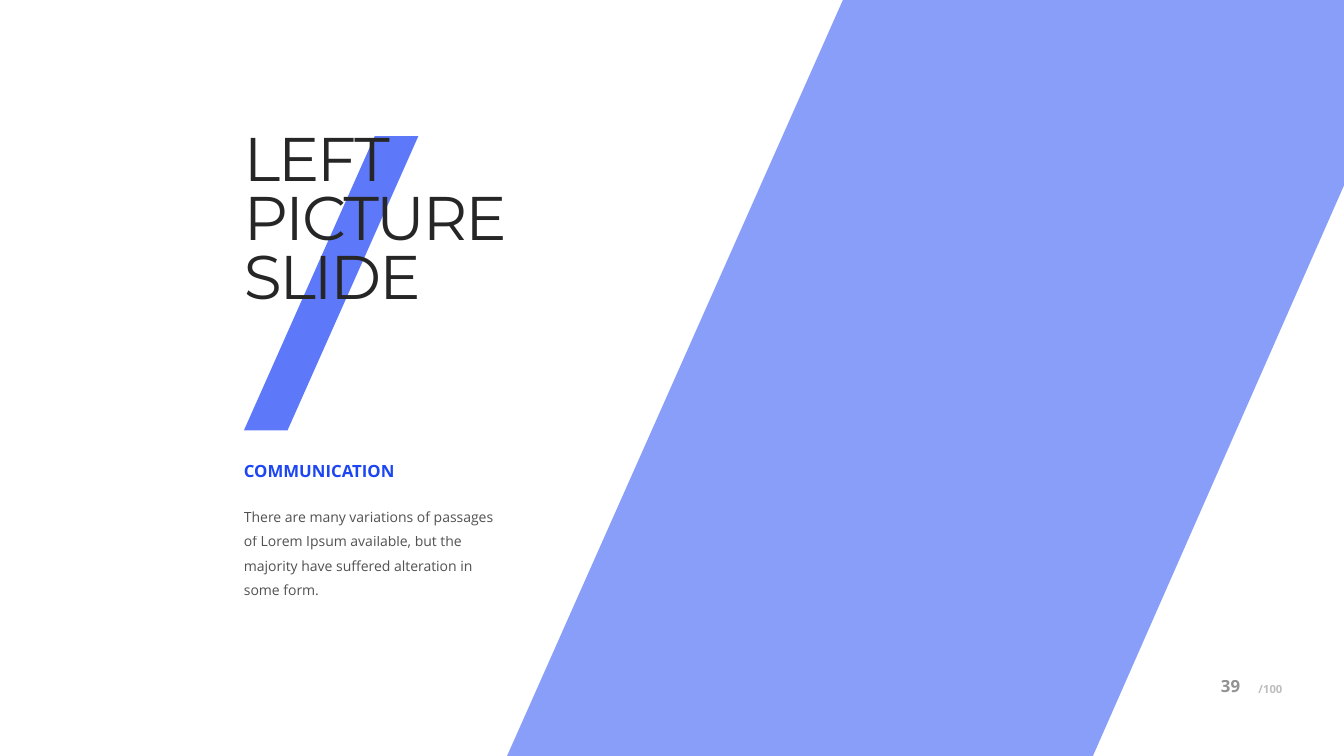
import pptx
import pptx.dml.color
import pptx.enum.shapes
import pptx.enum.text
import pptx.oxml.ns
import pptx.util
from lxml import etree

RGBColor = pptx.dml.color.RGBColor
INK = RGBColor(0x26, 0x26, 0x26)
ROYAL = RGBColor(0x1D, 0x46, 0xF3)
PERIWINKLE = RGBColor(0x5E, 0x78, 0xFA)
WHITE = RGBColor(0xFF, 0xFF, 0xFF)

SLIDE_WIDTH = pptx.util.Inches(13.33)
SLIDE_HEIGHT = pptx.util.Inches(7.5)
LEFT_MARGIN = 18.15


def across(percent):
    """Return a percentage of the slide width."""
    return round(SLIDE_WIDTH * percent / 100)


def down(percent):
    """Return a percentage of the slide height."""
    return round(SLIDE_HEIGHT * percent / 100)


def frame(left, top, width, height):
    """Turn percentages of the slide into a position and size."""
    return across(left), down(top), across(width), down(height)


def paint(fill, color, opacity=100):
    """Fill with a solid colour at an opacity in percent."""
    fill.solid()
    fill.fore_color.rgb = color
    if opacity < 100:
        tint = fill._xPr.find(".//" + pptx.oxml.ns.qn("a:srgbClr"))
        alpha = etree.SubElement(tint, pptx.oxml.ns.qn("a:alpha"))
        alpha.set("val", str(opacity * 1000))


def finish(shape, color, opacity=100):
    """Give a shape a flat fill without outline or shadow."""
    paint(shape.fill, color, opacity)
    shape.line.fill.background()
    shape.shadow.inherit = False


def add_text(slide, area, text, *, size, font="Open Sans", color=INK, opacity=100,
             bold=False, align=pptx.enum.text.PP_ALIGN.LEFT,
             anchor=pptx.enum.text.MSO_ANCHOR.TOP, inset_top=0, inset_bottom=0,
             line_spacing=None, tracking=None, wrap=True):
    """Add a text box with one formatted paragraph."""
    body = slide.shapes.add_textbox(*frame(*area)).text_frame
    body.word_wrap = wrap
    body.vertical_anchor = anchor
    body.margin_left = body.margin_right = 0
    body.margin_top = pptx.util.Inches(inset_top)
    body.margin_bottom = pptx.util.Inches(inset_bottom)
    paragraph = body.paragraphs[0]
    paragraph.text = text
    paragraph.alignment = align
    paragraph.line_spacing = line_spacing
    for run in paragraph.runs:
        run.font.size = pptx.util.Pt(size)
        run.font.name = font
        run.font.bold = bold
        paint(run.font.fill, color, opacity)
        if tracking is not None:
            run.font._element.set("spc", str(round(tracking * 100)))


def add_slash(slide):
    """Add the slanted bar behind the title."""
    slash = slide.shapes.add_shape(
        pptx.enum.shapes.MSO_SHAPE.PARALLELOGRAM, *frame(LEFT_MARGIN, 18, 12.98, 38.93))
    slash.adjustments[0] = 0.75
    finish(slash, PERIWINKLE)


def add_panel(slide):
    """Add the large translucent slanted panel."""
    corners = [(across(x), down(y)) for x, y in
               [(62.72, 0), (100, 0), (100, 24.53), (81.32, 100), (37.73, 100)]]
    outline = slide.shapes.build_freeform(*corners[0])
    outline.add_line_segments(corners[1:], close=True)
    finish(outline.convert_to_shape(), ROYAL, 52)


def add_page_number(slide):
    """Add the page number and the page total."""
    middle = pptx.enum.text.MSO_ANCHOR.MIDDLE
    add_text(slide, (91.22, 89.47, 4.2, 3.33), "/100", size=8, bold=True, opacity=30,
             align=pptx.enum.text.PP_ALIGN.RIGHT, anchor=middle)
    add_text(slide, (90.85, 89.07, 4.2, 3.33), "39", size=12, bold=True, opacity=50,
             anchor=middle)


def main():
    """Build and save the slide."""
    deck = pptx.Presentation()
    deck.slide_width, deck.slide_height = SLIDE_WIDTH, SLIDE_HEIGHT
    slide = deck.slides.add_slide(deck.slide_layouts[6])
    paint(slide.background.fill, WHITE)

    add_slash(slide)
    add_page_number(slide)
    add_text(slide, (LEFT_MARGIN, 14.93, 37.5, 21.73), "LEFT\nPICTURE\nSLIDE",
             size=44, font="Montserrat", inset_top=0.21, line_spacing=0.8, tracking=-1.5)
    add_text(slide, (LEFT_MARGIN, 60.27, 11.33, 4), "COMMUNICATION", size=12, bold=True,
             color=ROYAL, inset_top=0.05, inset_bottom=0.05, wrap=False)
    add_text(slide, (LEFT_MARGIN, 65.6, 18.68, 17.33),
             "There are many variations of passages of Lorem Ipsum available, "
             "but the majority have suffered alteration in some form.",
             size=10, opacity=80, inset_top=0.05, inset_bottom=0.05, line_spacing=1.45)
    add_panel(slide)
    deck.save("out.pptx")


if __name__ == "__main__":
    main()
